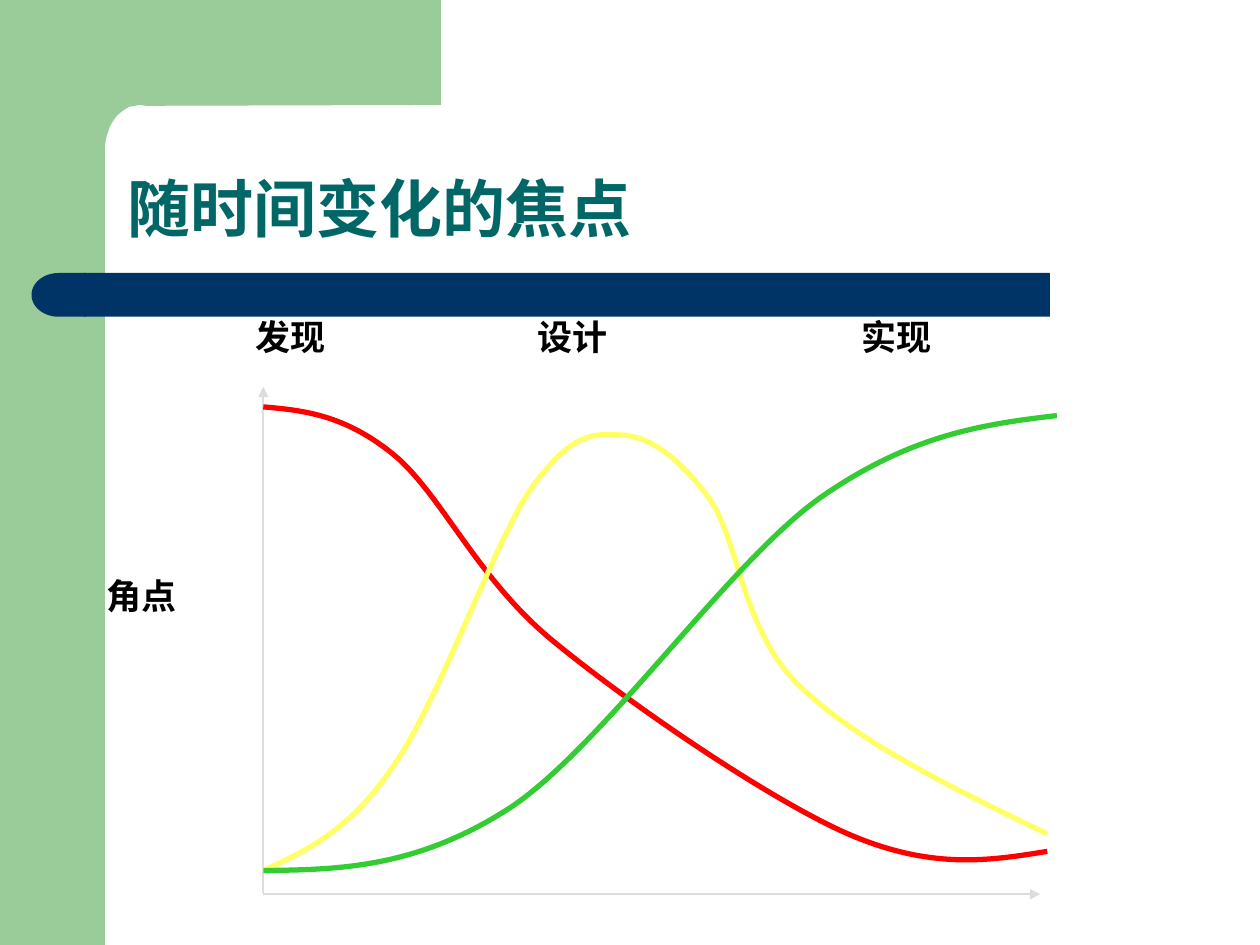
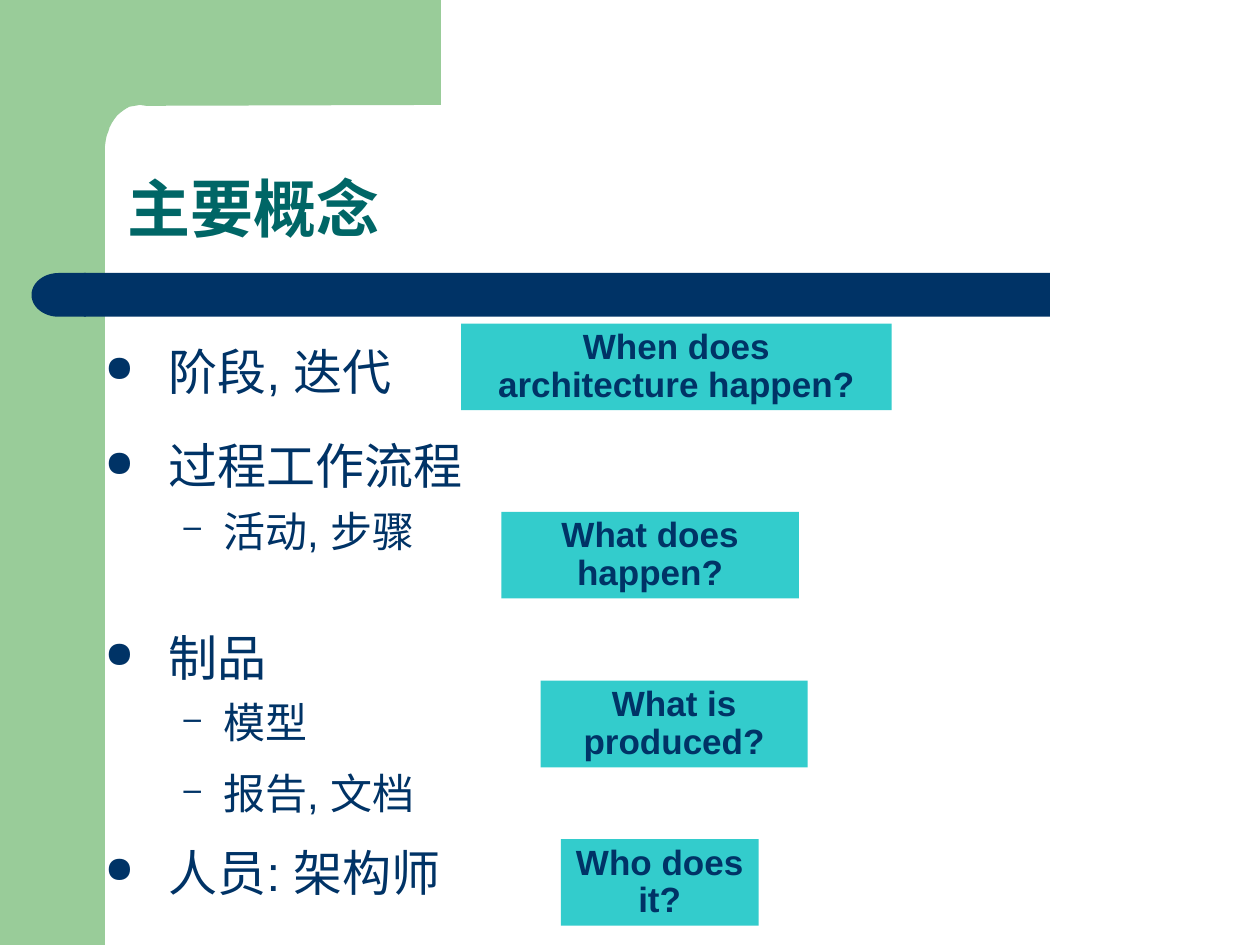
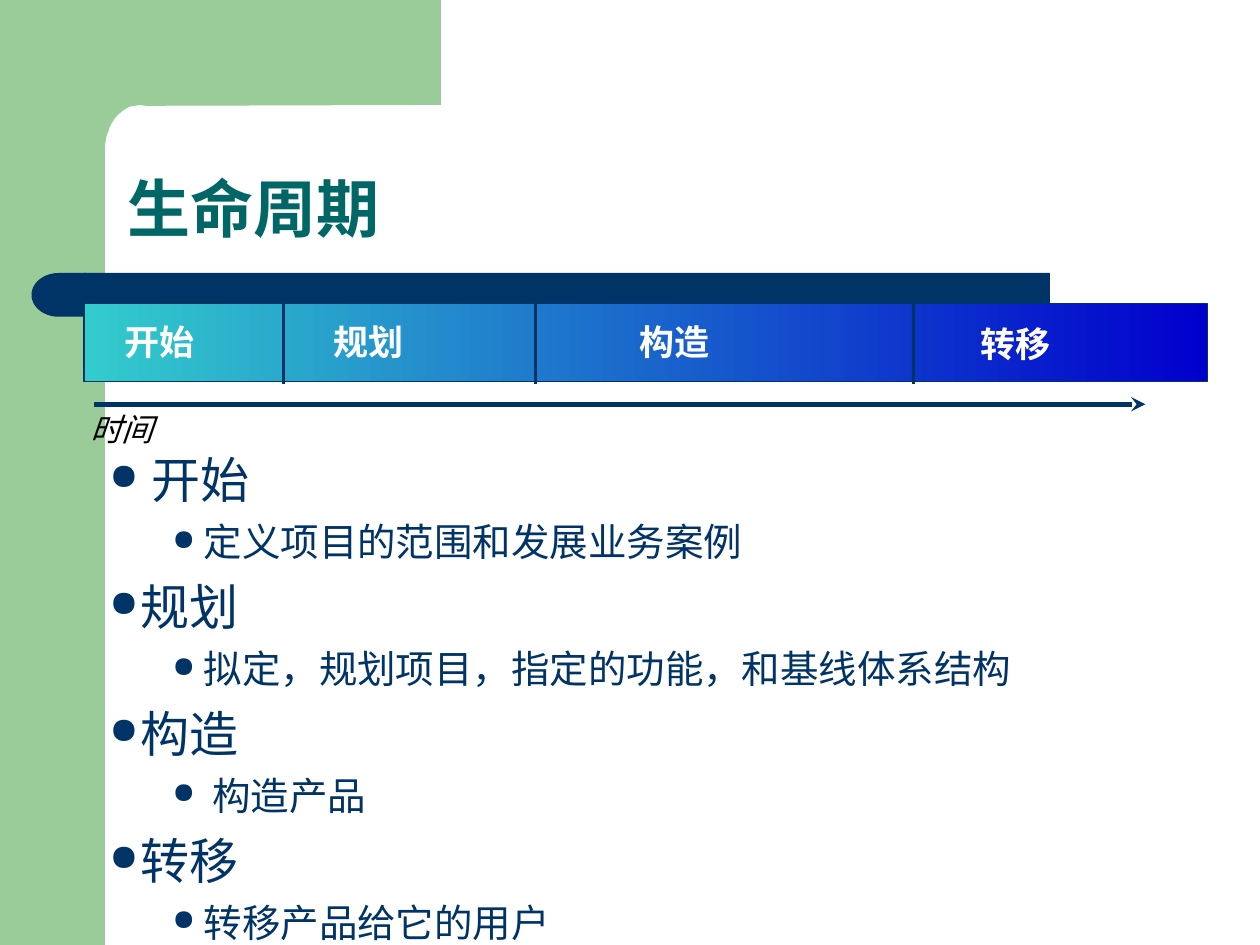
import itertools

import lxml.etree
import pptx
import pptx.dml.color
import pptx.enum.shapes
import pptx.enum.text
import pptx.oxml.ns
import pptx.util

PX = 6350  # EMU per px, 144 px to the inch
COLOURS = {
    name: pptx.dml.color.RGBColor.from_string(value)
    for name, value in {
        "leaf": "99CC99", "navy": "003366", "teal": "006666", "aqua": "33CCCC",
        "blue": "0000CC", "axis": "DDDDDD", "red": "FF0000", "yellow": "FFFF66",
        "green": "33CC33", "black": "000000", "white": "FFFFFF",
    }.items()
}
qn = pptx.oxml.ns.qn
SHAPE = pptx.enum.shapes.MSO_SHAPE
ALIGN = pptx.enum.text.PP_ALIGN
ANCHOR = pptx.enum.text.MSO_ANCHOR
AUTO_SIZE = pptx.enum.text.MSO_AUTO_SIZE


def write(frame, text, size=20, colour="navy", font="Arial", bold=False, italic=False,
          align=ALIGN.LEFT, spacing=None, before=None, level=0, bullet=None, indent=(0, 0)):
    """Add one paragraph, filling the empty first one if there is one."""
    para = frame.paragraphs[0] if not frame.text else frame.add_paragraph()
    para.text = text
    para.level = level
    if bullet:
        props = para._p.get_or_add_pPr()
        props.set("marL", str(indent[0] * PX))
        props.set("indent", str(indent[1] * PX))
        tint = lxml.etree.SubElement(props, qn("a:buClr"))
        lxml.etree.SubElement(tint, qn("a:srgbClr"), val=str(COLOURS["navy"]))
        lxml.etree.SubElement(props, qn("a:buSzPct"), val="75000")
        lxml.etree.SubElement(props, qn("a:buChar"), char=bullet)
    para.alignment = align
    para.line_spacing = spacing
    if before:
        para.space_before = pptx.util.Pt(before)
    for span in para.runs:
        span.font.size = pptx.util.Pt(size)
        span.font.name = font
        span.font.bold = bold
        span.font.italic = italic
        span.font.color.rgb = COLOURS[colour]


def draw_path(page, start, steps):
    """Draw an outline whose steps hold one point for a line or three for a curve."""
    builder = page.shapes.build_freeform(*start, scale=PX)
    builder.add_line_segments([point for step in steps for point in step], close=False)
    shape = builder.convert_to_shape()
    shape.shadow.inherit = False
    segments = iter(shape.element.xpath(".//a:lnTo"))
    for step in steps:
        first, *others = itertools.islice(segments, len(step))
        if others:
            first.tag = qn("a:cubicBezTo")
        for other in others:
            first.append(other[0])
            other.getparent().remove(other)
    return shape


deck = pptx.Presentation()
deck.slide_width, deck.slide_height = 1440 * PX, 1080 * PX

# Pages and titles
pages = []
for text, width in [("随时间变化的焦点", 1225), ("主要概念", 1054), ("生命周期", 1225)]:
    page = deck.slides.add_slide(deck.slide_layouts[5])
    title = page.shapes.title
    title.left, title.top, title.width, title.height = (n * PX for n in (131, 131, width, 157))
    title.text_frame.vertical_anchor = ANCHOR.BOTTOM
    title.text_frame.auto_size = AUTO_SIZE.NONE
    write(title.text_frame, text, size=36, colour="teal", bold=True, spacing=0.9)
    pages.append(page)
focus, concepts, lifecycle = pages

# Shared bands, moved to the master
side = focus.shapes.add_shape(SHAPE.RECTANGLE, 0, 0, 120 * PX, 1080 * PX)
corner = draw_path(focus, (504, 0), [
    [(504, 120)], [(167, 121)], [(160, 120)], [(148, 122)],
    [(144, 124), (138, 128), (134, 132)],
    [(130, 137), (125, 144), (124, 150)],
    [(121, 156), (121, 161), (120, 167)],
    [(120, 184)], [(72, 184)], [(72, 0)], [(504, 0)],
])
rule = focus.shapes.add_shape(SHAPE.RECTANGLE, 96 * PX, 312 * PX, 1104 * PX, 50 * PX)
cap = focus.shapes.add_shape(SHAPE.FLOWCHART_DELAY, 36 * PX, 312 * PX, 62 * PX, 50 * PX)
cap.rotation = 180
bands = [(side, "leaf"), (corner, "leaf"), (rule, "navy"), (cap, "navy")]
for index, (band, colour) in enumerate(bands):
    band.shadow.inherit = False
    band.fill.solid()
    band.fill.fore_color.rgb = COLOURS[colour]
    band.line.fill.background()
    band.element.xpath(".//p:cNvPr")[0].set("id", str(20 + index))
    deck.slide_master.shapes.element.insert(2 + index, band.element)

# Phase bar of the life cycle
bar = lifecycle.shapes.add_shape(SHAPE.RECTANGLE, 96 * PX, 347 * PX, 1284 * PX, 89 * PX)
bar.shadow.inherit = False
bar.fill.gradient()
bar.fill.gradient_angle = 180
for stop, colour in zip(bar.fill.gradient_stops, ("blue", "aqua")):
    stop.color.rgb = COLOURS[colour]
bar.line.color.rgb = COLOURS["navy"]
bar.line.width = pptx.util.Pt(0.75)

# Axes, time arrow and phase dividers
lines = [
    (focus, (301, 1021, 301, 442), "axis", 1, "triangle"),
    (focus, (301, 1022, 1189, 1022), "axis", 1, "triangle"),
    (lifecycle, (107, 462, 1309, 462), "navy", 2.75, "stealth"),
]
lines += [(lifecycle, (x, 439, x, 347), "navy", 2, None) for x in (324, 612, 1044)]
for page, ends, colour, width, arrow in lines:
    line = page.shapes.add_connector(
        pptx.enum.shapes.MSO_CONNECTOR.STRAIGHT, *(n * PX for n in ends))
    line.line.color.rgb = COLOURS[colour]
    line.line.width = pptx.util.Pt(width)
    if arrow:
        lxml.etree.SubElement(line.element.xpath(".//a:ln")[0], qn("a:tailEnd"), type=arrow)
    lxml.etree.SubElement(line.element.spPr, qn("a:effectLst"))

# Focus curves
curves = {
    "red": ((301, 465), [
        [(347, 469), (393, 474), (448, 518)],
        [(503, 562), (543, 658), (629, 730)],
        [(716, 802), (876, 912), (969, 953)],
        [(1064, 994), (1130, 984), (1197, 973)],
    ]),
    "yellow": ((301, 995), [
        [(348, 973), (397, 952), (448, 878)],
        [(500, 806), (563, 624), (606, 560)],
        [(651, 497), (675, 495), (708, 497)],
        [(743, 498), (776, 523), (811, 570)],
        [(845, 619), (848, 720), (913, 783)],
        [(978, 847), (1087, 900), (1197, 953)],
    ]),
    "green": ((301, 995), [
        [(389, 994), (478, 992), (585, 922)],
        [(690, 851), (832, 645), (936, 570)],
        [(1040, 497), (1123, 485), (1208, 475)],
    ]),
}
for colour, (start, steps) in curves.items():
    curve = draw_path(focus, start, steps)
    curve.fill.background()
    curve.line.color.rgb = COLOURS[colour]
    curve.line.width = pptx.util.Pt(3)

for text, left, top, width in [("发现", 278, 359, 261), ("设计", 600, 359, 261),
                               ("角点", 108, 655, 261), ("实现", 971, 359, 328)]:
    label = focus.shapes.add_textbox(left * PX, top * PX, width * PX, 58 * PX)
    label.text_frame.word_wrap = True
    write(label.text_frame, text, colour="black", bold=True, spacing=0.89)

# Concepts and the questions beside them
body = concepts.shapes.add_textbox(120 * PX, 370 * PX, 1030 * PX, 661 * PX).text_frame
body.word_wrap = True
body.margin_left = body.margin_top = body.margin_right = body.margin_bottom = 0
for text, level, spacing, before in [
    ("阶段, 迭代", 0, 1.3, None),
    ("过程工作流程", 0, 1.4, 7),
    ("活动, 步骤", 1, None, 6),
    ("制品", 0, None, 41),
    ("模型", 1, None, 6),
    ("报告, 文档", 1, 1.2, 6),
    ("人员: 架构师", 0, 1.2, 7),
]:
    write(body, text, size=(28, 24)[level], spacing=spacing, before=before, level=level,
          bullet="●–"[level], indent=[(73, -73), (135, -45)][level])

for text, left, top, width in [
    ("What does happen?", 573, 585, 340),
    ("What is produced?", 618, 778, 305),
    ("Who does it?", 641, 959, 226),
    ("When does\varchitecture happen?", 527, 370, 492),
]:
    question = concepts.shapes.add_shape(
        SHAPE.RECTANGLE, left * PX, top * PX, width * PX, 99 * PX)
    question.shadow.inherit = False
    question.fill.solid()
    question.fill.fore_color.rgb = COLOURS["aqua"]
    question.line.fill.background()
    frame = question.text_frame
    frame.word_wrap = True
    frame.vertical_anchor = ANCHOR.TOP
    frame.margin_left = frame.margin_right = 13 * PX
    frame.margin_top = frame.margin_bottom = 7 * PX
    write(frame, text, bold=True, align=ALIGN.CENTER, spacing=0.89)

# Life cycle labels and phases
phase_style = {"size": 20, "colour": "white", "bold": True}
time_style = {"size": 18, "colour": "black", "italic": True}
for text, box, style in [
    ("时间", (89, 461, 101, 58), time_style),
    ("开始", (128, 359, 109, 62), phase_style),
    ("规划", (367, 359, 109, 62), phase_style),
    ("构造", (717, 359, 109, 62), phase_style),
    ("转移", (1106, 361, 109, 62), phase_style),
]:
    frame = lifecycle.shapes.add_textbox(*(n * PX for n in box)).text_frame
    frame.word_wrap = False
    frame.auto_size = AUTO_SIZE.SHAPE_TO_FIT_TEXT
    write(frame, text, font="Arial Narrow", **style)

phases = lifecycle.shapes.add_textbox(108 * PX, 505 * PX, 1230 * PX, 158 * PX).text_frame
phases.word_wrap = True
phases.margin_left = phases.margin_right = 17 * PX
phases.margin_top = phases.margin_bottom = 9 * PX
for index, (phase, goal) in enumerate([
    (" 开始", "定义项目的范围和发展业务案例"),
    ("规划", "拟定，规划项目，指定的功能，和基线体系结构"),
    ("构造", " 构造产品"),
    ("转移", "转移产品给它的用户"),
]):
    write(phases, phase, size=28, before=7 if index else None, bullet="●", indent=(36, -36))
    write(phases, goal, size=22, before=5.5, level=1, bullet="●", indent=(108, -36))

deck.save("out.pptx")
